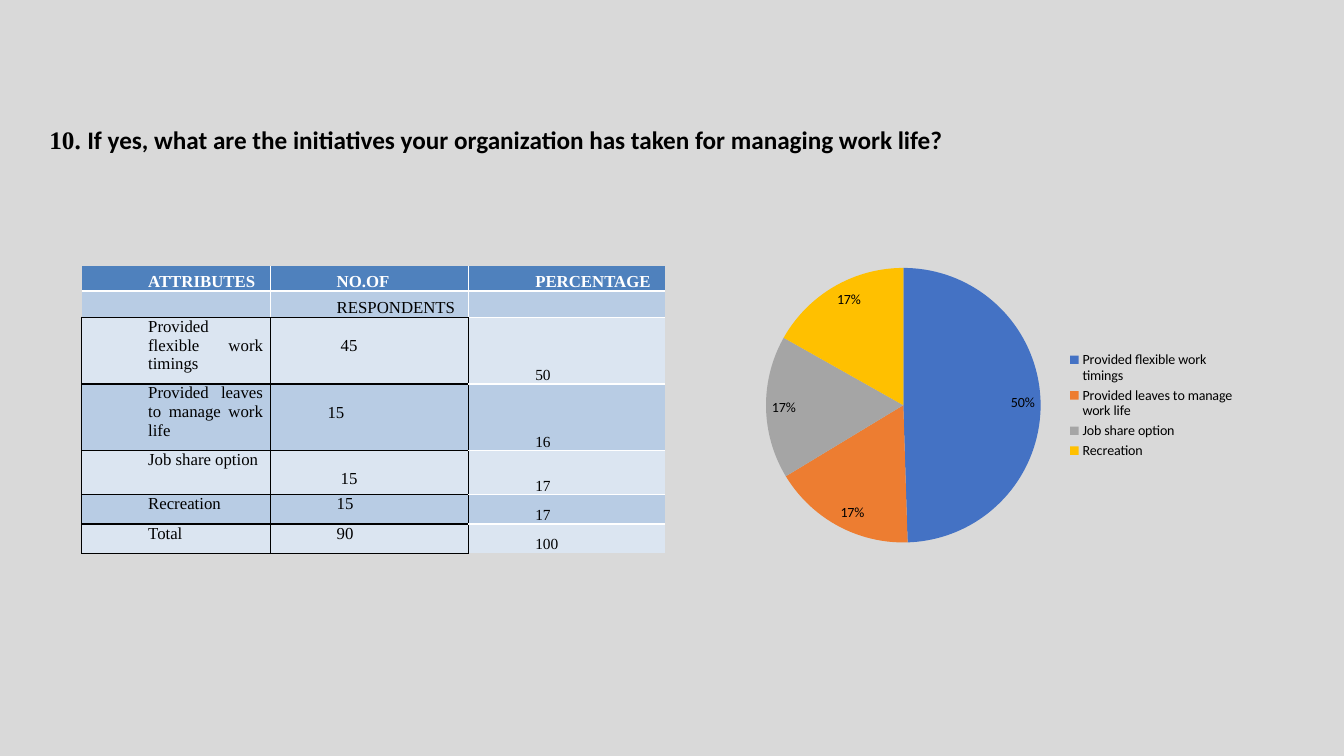
"""Build the survey slide on work-life initiatives: question, answer table and pie chart."""
from dataclasses import dataclass

from lxml import etree
from pptx import Presentation
from pptx.chart.data import CategoryChartData
from pptx.dml.color import RGBColor
from pptx.enum.chart import XL_CHART_TYPE, XL_LABEL_POSITION, XL_LEGEND_POSITION
from pptx.enum.text import MSO_ANCHOR, MSO_AUTO_SIZE, PP_ALIGN
from pptx.oxml.ns import qn
from pptx.util import Inches, Pt

PIE = XL_CHART_TYPE.PIE
INSIDE_END = XL_LABEL_POSITION.INSIDE_END
LEGEND_RIGHT = XL_LEGEND_POSITION.RIGHT
TOP, BOTTOM = MSO_ANCHOR.TOP, MSO_ANCHOR.BOTTOM
NO_FIT = MSO_AUTO_SIZE.NONE
JUSTIFY = PP_ALIGN.JUSTIFY

COLOURS = {
    "background": "D9D9D9",
    "text": "000000",
    "white": "FFFFFF",
    "header": "4F81BD",
    "dark band": "B8CCE4",
    "light band": "DBE5F1",
}
SLICE_COLOURS = ["4472C4", "ED7D31", "A5A5A5", "FFC000"]
SERIF, SANS = "Times New Roman", "Calibri"
COLUMN_WIDTHS = [1.87, 1.97, 1.95]
INDENT = 0.59


@dataclass
class SurveyRow:
    """One table row, with the placing of its respondent count."""
    height: float
    attribute: str
    respondents: str
    percentage: str
    count_indent: float = INDENT
    count_top: float = 0


SURVEY_ROWS = [
    SurveyRow(0.25, "ATTRIBUTES", "NO.OF", "PERCENTAGE"),
    SurveyRow(0.26, "", "RESPONDENTS", ""),
    SurveyRow(0.66, "Provided flexible work timings", "45", "50", 0.63, 0.19),
    SurveyRow(0.66, "Provided leaves to manage work life", "15", "16", 0.5, 0.19),
    SurveyRow(0.44, "Job share option", "15", "17", 0.63, 0.19),
    SurveyRow(0.29, "Recreation", "15", "17"),
    SurveyRow(0.29, "Total", "90", "100"),
]
INITIATIVES = [row.attribute for row in SURVEY_ROWS[2:-1]]
SHARES = (50, 17, 17, 17)


def rgb(name: str) -> RGBColor:
    """Look up a named colour."""
    return RGBColor.from_string(COLOURS[name])


def style_font(font, face: str, size: float, colour: str, bold: bool = False) -> None:
    """Give a font its face, size, colour and weight."""
    font.name, font.size, font.bold = face, Pt(size), bold
    font.color.rgb = rgb(colour)


def add_question(slide) -> None:
    """Place the question in the title placeholder."""
    question = slide.shapes.title
    question.left, question.top = Inches(0.39), Inches(1.18)
    question.width, question.height = Inches(9.34), Inches(0.71)
    frame = question.text_frame
    frame.word_wrap, frame.auto_size, frame.vertical_anchor = True, NO_FIT, TOP
    paragraph = frame.paragraphs[0]
    paragraph.alignment = JUSTIFY
    wording = "If yes, what are the initiatives your organization has taken for managing work life?"
    for text, face in (("10. ", SERIF), (wording, SANS)):
        run = paragraph.add_run()
        run.text = text
        style_font(run.font, face, 18, "text", True)


def cell_borders(row: int, column: int) -> dict[str, tuple[str, float] | None]:
    """Give the colour and width of the four sides of a table cell."""
    black, white, thick = ("text", 1), ("white", 1), ("white", 1.5)
    last_column, last_row = len(COLUMN_WIDTHS) - 1, len(SURVEY_ROWS) - 1
    inner = white if row < 2 else black
    if row >= 2 and column < last_column:
        return dict.fromkeys(("lnL", "lnR", "lnT", "lnB"), black)
    rule = white if column == last_column else black
    return {
        "lnL": inner if column else None,
        "lnR": inner if column < last_column else None,
        "lnT": (None, thick)[row] if row < 2 else rule,
        "lnB": None if row == last_row else rule if row else thick,
    }


def draw_borders(cell, row: int, column: int) -> None:
    """Write the border lines of a cell ahead of its fill."""
    properties = cell._tc.get_or_add_tcPr()
    for position, (side, border) in enumerate(cell_borders(row, column).items()):
        line = etree.Element(qn(f"a:{side}"))
        if border:
            colour, width = border
            line.set("w", str(Pt(width)))
            fill = etree.SubElement(line, qn("a:solidFill"))
            etree.SubElement(fill, qn("a:srgbClr"), val=COLOURS[colour])
        else:
            etree.SubElement(line, qn("a:noFill"))
        properties.insert(position, line)


def fill_cell(cell, row: int, column: int, survey: SurveyRow) -> None:
    """Write and format one cell of the survey table."""
    is_count, is_percentage = column == 1, column == 2
    text = (survey.attribute, survey.respondents, survey.percentage)[column]
    cell.margin_left = cell.margin_right = Inches(0.07)
    cell.margin_top = Inches(survey.count_top if is_count else 0)
    cell.margin_bottom = 0
    cell.vertical_anchor = BOTTOM if row < 2 or is_percentage else TOP
    cell.fill.solid()
    cell.fill.fore_color.rgb = rgb(
        "header" if row == 0 else "dark band" if row % 2 else "light band")
    paragraph = cell.text_frame.paragraphs[0]
    paragraph.text = text
    paragraph.alignment = JUSTIFY
    indent = survey.count_indent if is_count else INDENT
    paragraph._p.get_or_add_pPr().set("marL", str(Inches(indent)))
    size = 11 if is_percentage and row >= 2 else 12
    for run in paragraph.runs:
        style_font(run.font, SERIF, size, "text" if row else "white", row == 0)
    if not text:
        etree.SubElement(paragraph._p, qn("a:endParaRPr"), sz=str(size * 100))
    draw_borders(cell, row, column)


def add_survey_table(slide) -> None:
    """Add the table of attributes, respondents and percentages."""
    table = slide.shapes.add_table(
        len(SURVEY_ROWS), len(COLUMN_WIDTHS), Inches(0.81), Inches(2.64),
        Inches(sum(COLUMN_WIDTHS)), Inches(sum(row.height for row in SURVEY_ROWS))).table
    table.first_row = table.horz_banding = False
    for column, width in enumerate(COLUMN_WIDTHS):
        table.columns[column].width = Inches(width)
    for row, survey in enumerate(SURVEY_ROWS):
        table.rows[row].height = Inches(survey.height)
        for column in range(len(COLUMN_WIDTHS)):
            fill_cell(table.cell(row, column), row, column, survey)


def add_share_pie(slide) -> None:
    """Add the pie chart of the initiatives' shares."""
    shares = CategoryChartData()
    shares.categories = INITIATIVES
    shares.add_series("Series 1", SHARES)
    chart = slide.shapes.add_chart(
        PIE, Inches(7.35), Inches(2.52), Inches(5), Inches(3), shares).chart
    style_font(chart.font, SANS, 10, "text")
    chart.has_title = False
    chart.has_legend = True
    chart.legend.position = LEGEND_RIGHT
    chart.legend.include_in_layout = False
    pie = chart.plots[0]
    pie.vary_by_categories = True
    for index, colour in enumerate(SLICE_COLOURS):
        slice_fill = pie.series[0].points[index].format.fill
        slice_fill.solid()
        slice_fill.fore_color.rgb = RGBColor.from_string(colour)
    pie.has_data_labels = True
    labels = pie.data_labels
    labels.show_percentage, labels.show_value = True, False
    labels.number_format, labels.number_format_is_linked = "0%", False
    labels.position = INSIDE_END


def main() -> None:
    """Build and save the presentation."""
    presentation = Presentation()
    presentation.slide_width, presentation.slide_height = Inches(13.33), Inches(7.5)
    slide = presentation.slides.add_slide(presentation.slide_layouts[5])
    slide.background.fill.solid()
    slide.background.fill.fore_color.rgb = rgb("background")
    add_question(slide)
    add_survey_table(slide)
    add_share_pie(slide)
    presentation.save("out.pptx")


if __name__ == "__main__":
    main()
